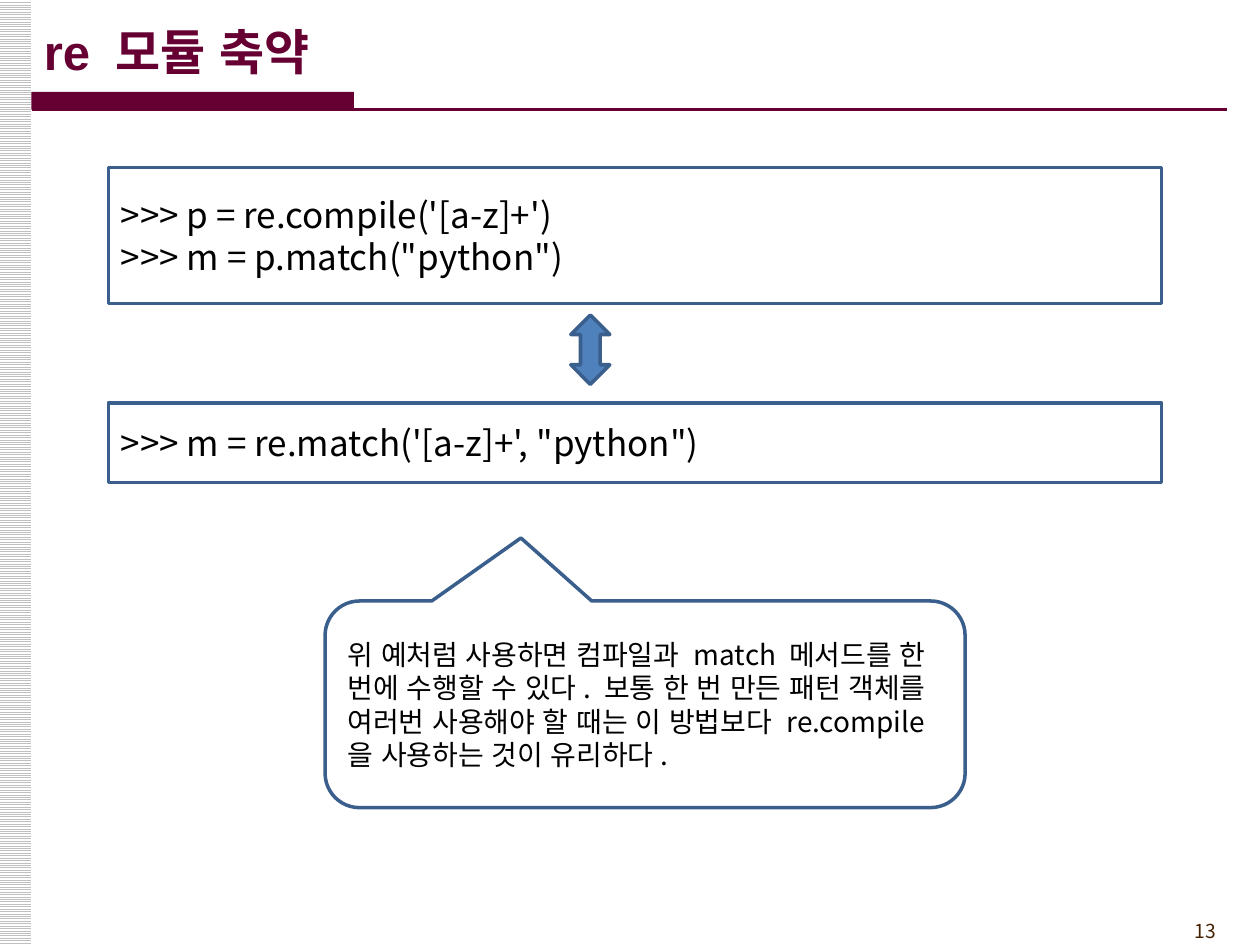
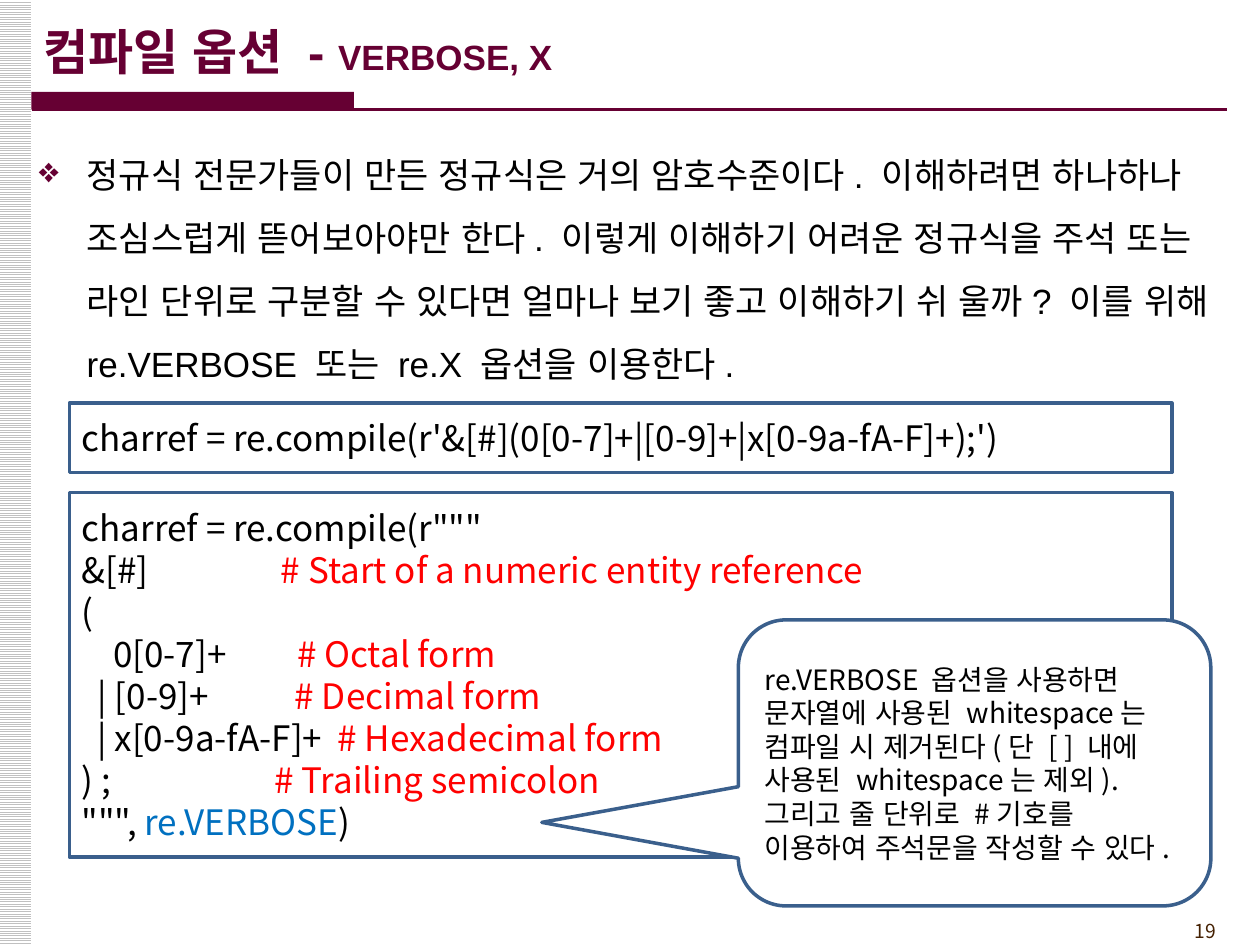
from dataclasses import dataclass

import lxml.etree
import pptx
import pptx.dml.color
import pptx.enum.dml
import pptx.enum.lang
import pptx.enum.shapes
import pptx.enum.text
import pptx.oxml.ns
import pptx.util

Inches = pptx.util.Inches
Pt = pptx.util.Pt
RGBColor = pptx.dml.color.RGBColor
Shapes = pptx.enum.shapes.MSO_SHAPE
Align = pptx.enum.text.PP_ALIGN
Anchor = pptx.enum.text.MSO_ANCHOR
qn = pptx.oxml.ns.qn

MAROON = RGBColor(0x66, 0x00, 0x33)
BROWN = RGBColor(0x45, 0x21, 0x03)
BLUE = RGBColor(0x4F, 0x81, 0xBD)
OUTLINE = RGBColor(0x3A, 0x5F, 0x8C)
SILVER = RGBColor(0xC0, 0xC0, 0xC0)
WHITE = RGBColor(0xFF, 0xFF, 0xFF)
BLACK = RGBColor(0x00, 0x00, 0x00)
COMMENT_RED = RGBColor(0xFF, 0x00, 0x00)
FLAG_BLUE = RGBColor(0x00, 0x70, 0xC0)

HEADING_FONT = "Arial"
KOREAN_FONT = "Noto Sans CJK KR"


@dataclass(frozen=True)
class Box:
    left: float
    top: float
    width: float
    height: float

    def lengths(self) -> tuple:
        return tuple(Inches(n) for n in (self.left, self.top, self.width, self.height))


@dataclass(frozen=True)
class TextRun:
    text: str
    size: float = 20
    color: RGBColor = BLACK
    font: str = KOREAN_FONT
    bold: bool = False


@dataclass(frozen=True)
class Line:
    runs: tuple[TextRun, ...]
    tab: float | None = None


@dataclass(frozen=True)
class Callout:
    box: Box
    tip: tuple[float, float]
    text: str


def plain(text: str) -> Line:
    return Line((TextRun(text),))


def commented(code: str, comment: str, tab: float) -> Line:
    return Line((TextRun(code + "\t"), TextRun(comment, color=COMMENT_RED)), tab)


def heading(text: str, size: float = 28) -> TextRun:
    return TextRun(text, size, MAROON, HEADING_FONT, True)


def add_run(paragraph, content: TextRun) -> None:
    run = paragraph.add_run()
    run.text = content.text
    font = run.font
    font.size = Pt(content.size)
    font.bold = content.bold
    font.color.rgb = content.color
    font.name = content.font
    font.language_id = pptx.enum.lang.MSO_LANGUAGE_ID.KOREAN
    east_asian = lxml.etree.SubElement(run._r.get_or_add_rPr(), qn("a:ea"))
    east_asian.set("typeface", KOREAN_FONT)


def add_tab(paragraph, position: float) -> None:
    tabs = lxml.etree.SubElement(paragraph._p.get_or_add_pPr(), qn("a:tabLst"))
    lxml.etree.SubElement(tabs, qn("a:tab"), pos=str(Inches(position)), algn="l")


def add_bullet(paragraph, symbol: str, indent: float) -> None:
    properties = paragraph._p.get_or_add_pPr()
    properties.set("marL", str(Inches(indent)))
    properties.set("indent", str(-Inches(indent)))
    color = lxml.etree.SubElement(properties, qn("a:buClr"))
    lxml.etree.SubElement(color, qn("a:srgbClr"), val=str(MAROON))
    lxml.etree.SubElement(properties, qn("a:buChar"), char=symbol)


def write_lines(shape, lines: tuple[Line, ...], anchor=Anchor.MIDDLE, align=Align.LEFT) -> None:
    frame = shape.text_frame
    frame.word_wrap = True
    frame.vertical_anchor = anchor
    for index, line in enumerate(lines):
        paragraph = frame.add_paragraph() if index else frame.paragraphs[0]
        paragraph.alignment = align
        if line.tab is not None:
            add_tab(paragraph, line.tab)
        for content in line.runs:
            add_run(paragraph, content)


def add_shape(slide, kind, box: Box, fill: RGBColor | None, outline: RGBColor | None = OUTLINE):
    shape = slide.shapes.add_shape(kind, *box.lengths())
    shape.shadow.inherit = False
    if fill is None:
        shape.fill.background()
    else:
        shape.fill.solid()
        shape.fill.fore_color.rgb = fill
    if outline is None:
        shape.line.fill.background()
    else:
        shape.line.color.rgb = outline
        shape.line.width = Pt(2)
    return shape


def add_code(slide, box: Box, *lines: Line) -> None:
    write_lines(add_shape(slide, Shapes.RECTANGLE, box, None), lines)


def add_callout(slide, callout: Callout) -> None:
    shape = add_shape(slide, Shapes.ROUNDED_RECTANGULAR_CALLOUT, callout.box, WHITE)
    for index, value in enumerate((*callout.tip, 0.16667)):
        shape.adjustments[index] = value
    write_lines(shape, (Line((TextRun(callout.text, 16),)),))


def add_body(slide, text: str) -> None:
    shape = slide.shapes.add_textbox(*Box(0.21, 1, 9.5, 6.25).lengths())
    write_lines(shape, (Line((TextRun(text, font=HEADING_FONT),)),), Anchor.TOP)
    paragraph = shape.text_frame.paragraphs[0]
    add_bullet(paragraph, "❖", 0.38)
    paragraph.line_spacing = 1.5


def add_frame(presentation, number: int, *title: TextRun):
    slide = presentation.slides.add_slide(presentation.slide_layouts[6])
    slide.background.fill.solid()
    slide.background.fill.fore_color.rgb = WHITE

    stripe = add_shape(slide, Shapes.RECTANGLE, Box(-0.01, 0, 0.26, 7.5), WHITE, None)
    stripe.fill.patterned()
    stripe.fill.pattern = pptx.enum.dml.MSO_PATTERN.LIGHT_HORIZONTAL
    stripe.fill.fore_color.rgb = SILVER
    stripe.fill.back_color.rgb = WHITE

    page = slide.shapes.add_textbox(*Box(8.92, 7.25, 0.83, 0.29).lengths())
    write_lines(page, (Line((TextRun(str(number), 11, BROWN),)),), Anchor.TOP, Align.RIGHT)

    add_shape(slide, Shapes.RECTANGLE, Box(0.25, 0.73, 2.56, 0.14), MAROON, None)
    rule = slide.shapes.add_connector(
        pptx.enum.shapes.MSO_CONNECTOR.STRAIGHT,
        Inches(0.25), Inches(0.87), Inches(9.74), Inches(0.87),
    )
    rule.line.color.rgb = MAROON
    rule.line.width = Pt(1.5)
    lxml.etree.SubElement(rule._element.spPr, qn("a:effectLst"))

    title_box = slide.shapes.add_textbox(*Box(0.25, 0.09, 9.44, 0.63).lengths())
    write_lines(title_box, (Line(title),))
    return slide


def build_shortcut_slide(presentation) -> None:
    slide = add_frame(presentation, 13, heading("re 모듈 축약"))
    add_code(
        slide, Box(0.86, 1.33, 8.36, 1.08),
        plain(">>> p = re.compile('[a-z]+')"),
        plain('>>> m = p.match("python")'),
    )
    add_code(slide, Box(0.86, 3.2, 8.36, 0.63), plain(">>> m = re.match('[a-z]+', \"python\")"))
    add_shape(slide, Shapes.UP_DOWN_ARROW, Box(4.53, 2.5, 0.31, 0.55), BLUE)
    add_callout(slide, Callout(
        Box(2.58, 4.77, 5.08, 1.64), (-0.194, -0.805),
        "위 예처럼 사용하면 컴파일과 match 메서드를 한 번에 수행할 수 있다. "
        "보통 한 번 만든 패턴 객체를 여러번 사용해야 할 때는 이 방법보다 "
        "re.compile을 사용하는 것이 유리하다.",
    ))


def build_verbose_slide(presentation) -> None:
    slide = add_frame(presentation, 19, heading("컴파일 옵션 - "), heading("VERBOSE, X", 20))
    add_body(
        slide,
        "정규식 전문가들이 만든 정규식은 거의 암호수준이다. 이해하려면 하나하나 "
        "조심스럽게 뜯어보아야만 한다. 이렇게 이해하기 어려운 정규식을 주석 또는 "
        "라인 단위로 구분할 수 있다면 얼마나 보기 좋고 이해하기 쉬 울까? "
        "이를 위해 re.VERBOSE 또는 re.X 옵션을 이용한다.",
    )
    add_code(
        slide, Box(0.55, 3.2, 8.75, 0.55),
        plain("charref = re.compile(r'&[#](0[0-7]+|[0-9]+|x[0-9a-fA-F]+);')"),
    )
    add_code(
        slide, Box(0.55, 3.91, 8.75, 2.89),
        plain('charref = re.compile(r"""'),
        commented("&[#]", "# Start of a numeric entity reference", 1.58),
        plain("("),
        commented("    0[0-7]+", "# Octal form", 1.71),
        commented("  | [0-9]+", "# Decimal form", 1.69),
        commented("  | x[0-9a-fA-F]+", "# Hexadecimal form", 2.03),
        commented(") ;", "# Trailing semicolon", 1.53),
        Line((TextRun('""", '), TextRun("re.VERBOSE", color=FLAG_BLUE), TextRun(")"))),
    )
    add_callout(slide, Callout(
        Box(5.86, 4.92, 3.75, 2.27), (-0.916, 0.208),
        "re.VERBOSE 옵션을 사용하면 문자열에 사용된 whitespace는 컴파일 시 "
        "제거된다(단 [ ] 내에 사용된 whitespace는 제외). 그리고 줄 단위로 "
        "#기호를 이용하여 주석문을 작성할 수 있다.",
    ))


def main() -> None:
    presentation = pptx.Presentation()
    presentation.slide_width = Inches(10)
    presentation.slide_height = Inches(7.5)
    build_shortcut_slide(presentation)
    build_verbose_slide(presentation)
    presentation.save("out.pptx")


if __name__ == "__main__":
    main()
